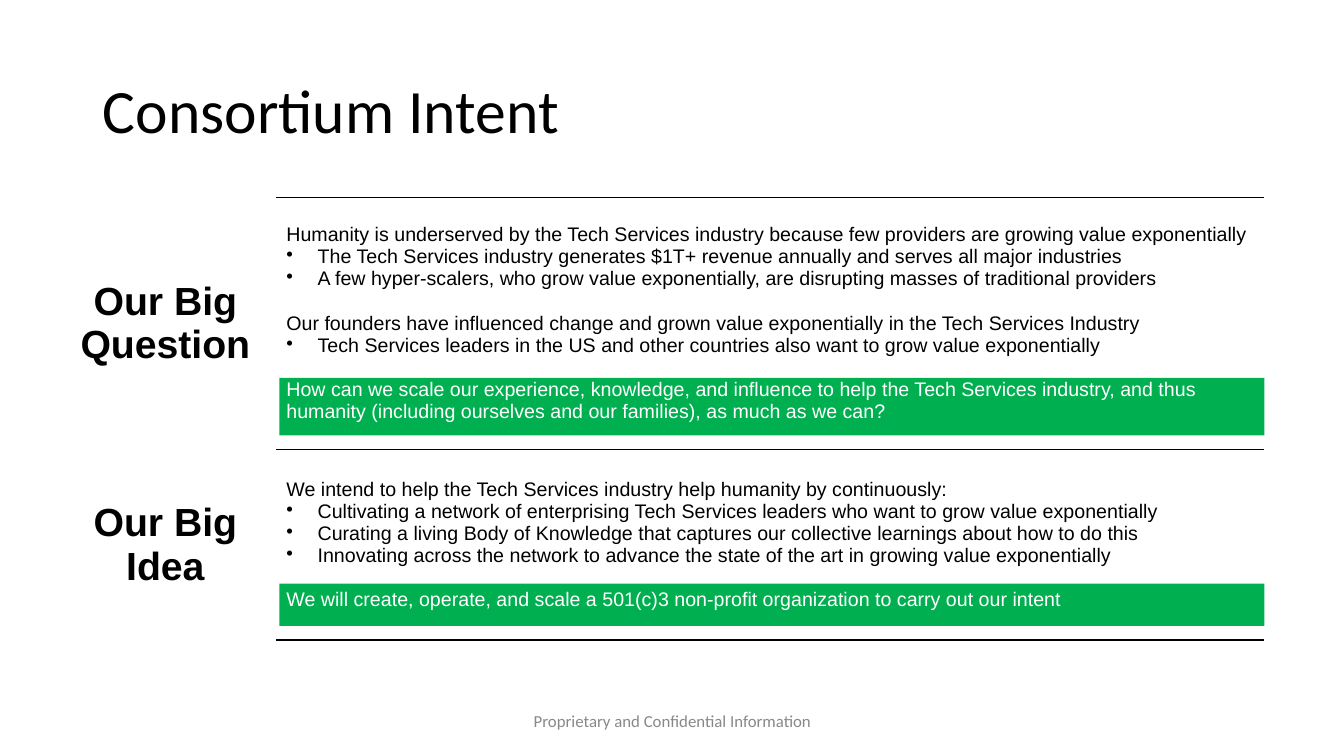
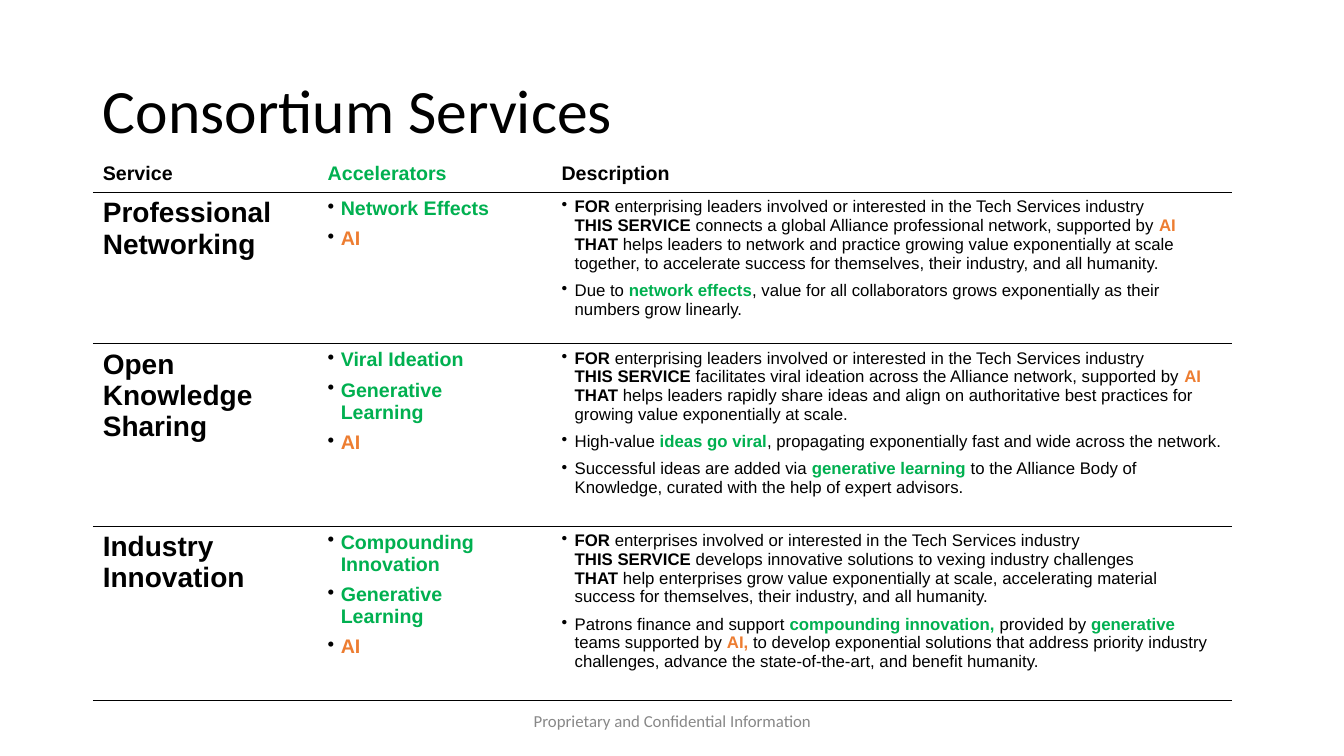
"""Build the two consortium slides: intent and services."""
import lxml.etree
import pptx
import pptx.dml.color
import pptx.enum.shapes
import pptx.enum.text
import pptx.oxml.ns
import pptx.util

Inches = pptx.util.Inches
Pt = pptx.util.Pt
qn = pptx.oxml.ns.qn
ALIGN = pptx.enum.text.PP_ALIGN
ANCHOR = pptx.enum.text.MSO_ANCHOR

COLORS = {"black": "000000", "white": "FFFFFF", "green": "00B050",
          "orange": "ED7D31", "grey": "888888"}
FOOTER = "Proprietary and Confidential Information"
NO_TABLE_STYLE = "{2D5ABB26-0587-4C30-8999-92F81FD0307C}"

RUN_STYLES = {
    "plain": ("black", False),
    "strong": ("black", True),
    "growth": ("green", True),
    "ai": ("orange", True),
    "reversed": ("white", False),
}

PARAGRAPH_STYLES = {
    "label": {"size": 28, "align": ALIGN.CENTER},
    "text": {"size": 14},
    "point": {"size": 14, "indent": 0.31},
    "next": {"size": 14, "before": 16},
    "service": {"size": 20},
    "driver": {"size": 14, "indent": 0.13, "before": 6},
    "detail": {"size": 12, "indent": 0.13, "before": 6},
}

AI_DRIVER = ("driver", [("ai", "AI")])
LEARNING_DRIVER = ("driver", [("growth", "Generative\nLearning")])
LEADERS = " enterprising leaders involved or interested in the Tech Services industry\n"

INTENT_ROWS = [
    [
        [("label", [("strong", "Our Big Question")])],
        [
            ("text", [("plain", "Humanity is underserved by the Tech Services industry because few "
                                "providers are growing value exponentially")]),
            ("point", [("plain", "The Tech Services industry generates $1T+ revenue annually and "
                                 "serves all major industries")]),
            ("point", [("plain", "A few hyper-scalers, who grow value exponentially, are disrupting "
                                 "masses of traditional providers")]),
            ("next", [("plain", "Our founders have influenced change and grown value exponentially "
                                "in the Tech Services Industry")]),
            ("point", [("plain", "Tech Services leaders in the US and other countries also want to "
                                 "grow value exponentially")]),
            ("next", [("reversed", "How can we scale our experience, knowledge, and influence to "
                                   "help the Tech Services industry, and thus humanity (including "
                                   "ourselves and our families), as much as we can?")]),
        ],
    ],
    [
        [("label", [("strong", "Our Big Idea")])],
        [
            ("text", [("plain", "We intend to help the Tech Services industry help humanity by "
                                "continuously:")]),
            ("point", [("plain", "Cultivating a network of enterprising Tech Services leaders who "
                                 "want to grow value exponentially")]),
            ("point", [("plain", "Curating a living Body of Knowledge that captures our collective "
                                 "learnings about how to do this")]),
            ("point", [("plain", "Innovating across the network to advance the state of the art in "
                                 "growing value exponentially")]),
            ("next", [("reversed", "We will create, operate, and scale a 501(c)3 non-profit "
                                   "organization to carry out our intent")]),
        ],
    ],
]

SERVICE_ROWS = [
    [
        [("text", [("strong", "Service")])],
        [("text", [("growth", "Accelerators")])],
        [("text", [("strong", "Description")])],
    ],
    [
        [("service", [("strong", "Professional Networking")])],
        [("driver", [("growth", "Network Effects")]), AI_DRIVER],
        [
            ("detail", [
                ("strong", "FOR"), ("plain", LEADERS),
                ("strong", "THIS SERVICE "),
                ("plain", "connects a global Alliance professional network, supported by "),
                ("ai", "AI\n"), ("strong", "THAT"),
                ("plain", " helps leaders to network and practice growing value exponentially at "
                          "scale together, to accelerate success for themselves, their industry, "
                          "and all humanity.")]),
            ("detail", [
                ("plain", "Due to "), ("growth", "network effects"),
                ("plain", ", value for all collaborators grows exponentially as their numbers "
                          "grow linearly.")]),
        ],
    ],
    [
        [("service", [("strong", "Open Knowledge Sharing")])],
        [("driver", [("growth", "Viral Ideation")]), LEARNING_DRIVER, AI_DRIVER],
        [
            ("detail", [
                ("strong", "FOR"), ("plain", LEADERS),
                ("strong", "THIS SERVICE"),
                ("plain", " facilitates viral ideation across the Alliance network, supported by "),
                ("ai", "AI\n"), ("strong", "THAT"),
                ("plain", " helps leaders rapidly share ideas and align on authoritative best "
                          "practices for growing value exponentially at scale.")]),
            ("detail", [
                ("plain", "High-value "), ("growth", "ideas go viral"),
                ("plain", ", propagating exponentially fast and wide across the network.")]),
            ("detail", [
                ("plain", "Successful ideas are added via "), ("growth", "generative learning "),
                ("plain", "to the Alliance Body of Knowledge, curated with the help of expert "
                          "advisors.")]),
        ],
    ],
    [
        [("service", [("strong", "Industry")]), ("service", [("strong", "Innovation")])],
        [("driver", [("growth", "Compounding\nInnovation")]), LEARNING_DRIVER, AI_DRIVER],
        [
            ("detail", [
                ("strong", "FOR"),
                ("plain", " enterprises involved or interested in the Tech Services industry\n"),
                ("strong", "THIS SERVICE"),
                ("plain", " develops innovative solutions to vexing industry challenges\n"),
                ("strong", "THAT"),
                ("plain", " help enterprises grow value exponentially at scale, accelerating "
                          "material success for themselves, their industry, and all humanity.")]),
            ("detail", [
                ("plain", "Patrons finance and support "), ("growth", "compounding innovation,"),
                ("plain", " provided by "), ("growth", "generative "),
                ("plain", "teams supported by "), ("ai", "AI,"),
                ("plain", " to develop exponential solutions that address priority industry "
                          "challenges, advance the state-of-the-art, and benefit humanity.")]),
        ],
    ],
]

PAGES = [
    {"title": "Consortium Intent", "bars": [(3.75, 0.57), (5.79, 0.42)],
     "left": 0.54, "top": 1.96, "columns": [2.2, 9.8], "heights": [2.5, 1.89],
     "rows": INTENT_ROWS, "anchor": ANCHOR.MIDDLE,
     "ruled_columns": [1], "rules": ["a:lnT", "a:lnB"]},
    {"title": "Consortium Services", "bars": [],
     "left": 0.92, "top": 1.56, "columns": [2.23, 2.32, 6.75], "heights": [0.35, 1.5, 1.81, 1.73],
     "rows": SERVICE_ROWS, "anchor": ANCHOR.TOP,
     "ruled_columns": [0, 1, 2], "rules": ["a:lnB"]},
]


def set_font(font, name, size, color, bold=False):
    """Set the typeface, size, colour and weight of a font."""
    font.name = name
    font.size = Pt(size)
    font.bold = bold
    font.color.rgb = pptx.dml.color.RGBColor.from_string(COLORS[color])


def write_paragraph(para, kind, pieces, first):
    """Fill a table paragraph with styled runs, line breaks and its bullet."""
    style = PARAGRAPH_STYLES[kind]
    para.alignment = style.get("align", ALIGN.LEFT)
    if "before" in style and not first:
        para.space_before = Pt(style["before"])
    if "indent" in style:
        properties = para._p.get_or_add_pPr()
        properties.set("marL", str(Inches(style["indent"])))
        properties.set("indent", str(-Inches(style["indent"])))
        bullet_color = lxml.etree.SubElement(properties, qn("a:buClr"))
        lxml.etree.SubElement(bullet_color, qn("a:srgbClr"), val=COLORS["black"])
        lxml.etree.SubElement(properties, qn("a:buChar"), char="•")
    for run_style, text in pieces:
        color, bold = RUN_STYLES[run_style]
        for index, line in enumerate(text.split("\n")):
            if index:
                para.add_line_break()
            if line:
                span = para.add_run()
                span.text = line
                set_font(span.font, "Arial", style["size"], color, bold)
    for line_break in para._p.findall(qn("a:br")):
        lxml.etree.SubElement(line_break, qn("a:rPr"), sz=str(style["size"] * 100))


deck = pptx.Presentation()
deck.slide_width = Inches(13.33)
deck.slide_height = Inches(7.5)

for content in PAGES:
    page = deck.slides.add_slide(deck.slide_layouts[5])

    title = page.shapes.title
    title.left, title.top = Inches(0.92), Inches(0.4)
    title.width, title.height = Inches(9.79), Inches(1.45)
    footer = page.shapes.add_textbox(Inches(4.42), Inches(6.95), Inches(4.5), Inches(0.4))
    for box, text, size, color, align in [
            (title, content["title"], 44, "black", ALIGN.LEFT),
            (footer, FOOTER, 12, "grey", ALIGN.CENTER)]:
        frame = box.text_frame
        frame.text = text
        frame.word_wrap = True
        frame.auto_size = pptx.enum.text.MSO_AUTO_SIZE.NONE
        frame.vertical_anchor = ANCHOR.MIDDLE
        frame.paragraphs[0].alignment = align
        set_font(frame.paragraphs[0].runs[0].font, "Calibri", size, color)
    title.text_frame.paragraphs[0].line_spacing = 0.9

    for top, height in content["bars"]:
        bar = page.shapes.add_shape(pptx.enum.shapes.MSO_SHAPE.RECTANGLE,
                                    Inches(2.77), Inches(top), Inches(9.77), Inches(height))
        bar.shadow.inherit = False
        bar.fill.solid()
        bar.fill.fore_color.rgb = pptx.dml.color.RGBColor.from_string(COLORS["green"])
        bar.line.fill.background()

    columns, heights = content["columns"], content["heights"]
    table = page.shapes.add_table(
        len(heights), len(columns), Inches(content["left"]), Inches(content["top"]),
        Inches(sum(columns)), Inches(sum(heights))).table
    table.first_row = False
    table.horz_banding = False
    table._tbl.tblPr.find(qn("a:tableStyleId")).text = NO_TABLE_STYLE
    for column, width in zip(table.columns, columns):
        column.width = Inches(width)
    for row, height in zip(table.rows, heights):
        row.height = Inches(height)

    for row_index, row_content in enumerate(content["rows"]):
        for column_index, paragraphs in enumerate(row_content):
            cell = table.cell(row_index, column_index)
            cell.vertical_anchor = content["anchor"]
            if column_index in content["ruled_columns"]:
                for edge in content["rules"]:
                    rule = lxml.etree.SubElement(cell._tc.get_or_add_tcPr(), qn(edge),
                                                 w=str(Pt(1)))
                    fill = lxml.etree.SubElement(rule, qn("a:solidFill"))
                    lxml.etree.SubElement(fill, qn("a:srgbClr"), val=COLORS["black"])
            cell.fill.background()
            frame = cell.text_frame
            for index, (kind, pieces) in enumerate(paragraphs):
                para = frame.add_paragraph() if index else frame.paragraphs[0]
                write_paragraph(para, kind, pieces, index == 0)

deck.save("out.pptx")
